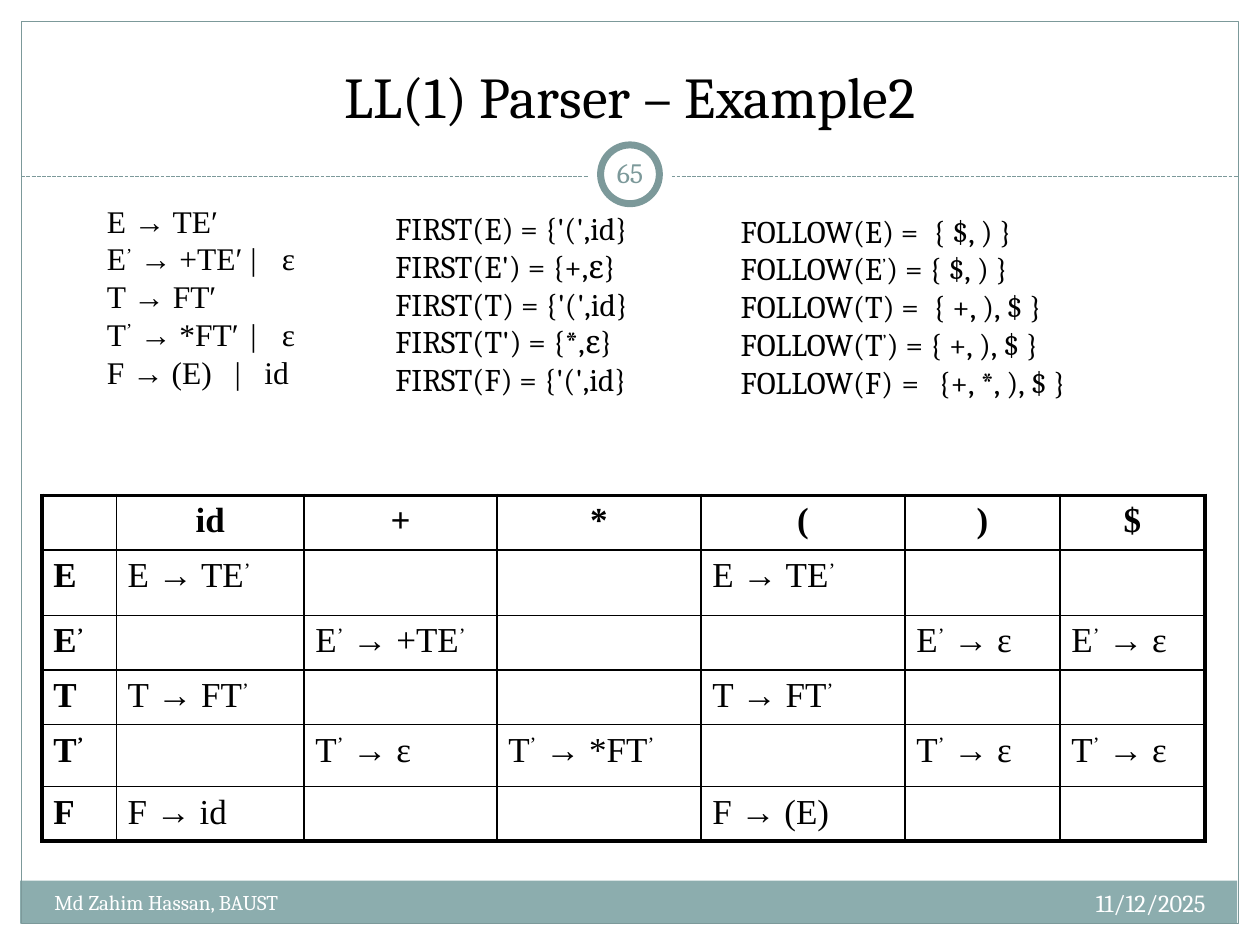
import itertools
from dataclasses import dataclass
from typing import Optional

import pptx
import pptx.dml.color
import pptx.enum.dml
import pptx.enum.shapes
import pptx.enum.text
import pptx.oxml
import pptx.oxml.ns
import pptx.util
from lxml import etree

Pt = pptx.util.Pt
Align = pptx.enum.text.PP_ALIGN
Anchor = pptx.enum.text.MSO_ANCHOR
Shape = pptx.enum.shapes.MSO_SHAPE

COLORS = {"white": "FFFFFF", "black": "000000", "band": "8CADAE", "teal": "7C999A"}
SERIF = "Times New Roman"
PRIME = "’"


@dataclass
class Panel:
    kind: Shape
    box: tuple[float, float, float, float]
    fill: Optional[str] = None
    line: Optional[str] = None
    weight: float = 0.75


@dataclass
class Line:
    text: str
    tabs: tuple[float, ...] = ()


@dataclass
class Label:
    box: tuple[float, float, float, float]
    lines: list[Line]
    size: float
    color: str = "black"
    font: str = "Cambria"
    align: Align = Align.LEFT
    anchor: Anchor = Anchor.TOP
    margin: float = 7.2


PANELS = [
    Panel(Shape.RECTANGLE, (11.5, 503.3, 695.5, 24.5), fill="band"),
    Panel(Shape.RECTANGLE, (12.2, 12.2, 695.5, 515.5), line="teal"),
]
BADGE = [
    Panel(Shape.OVAL, (336, 75.6, 48, 48), fill="white"),
    Panel(Shape.OVAL, (343.2, 82.8, 33.6, 33.6), fill="white", line="teal", weight=4),
]

LABELS = [
    Label((24, 18, 672, 60), [Line("LL(1) Parser – Example2")], 33,
          align=Align.CENTER, anchor=Anchor.BOTTOM),
    Label((456, 504, 240, 28.8), [Line("11/12/2025")], 14, "white", align=Align.RIGHT),
    Label((24, 504.7, 282, 28.8), [Line("Md Zahim Hassan, BAUST")], 12, "white"),
    Label((342, 81.4, 36, 34.6), [Line("65")], 16, "teal",
          align=Align.CENTER, anchor=Anchor.MIDDLE, margin=3.6),
    Label((54, 111.6, 129, 116.6), [
        Line("E → TE′"),
        Line("E’ → +TE′\t|\tε", (82, 100)),
        Line("T → FT′"),
        Line("T’ → *FT′\t|\tε", (82, 100)),
        Line("F → (E)\t|\tid", (73, 90)),
    ], 18, font=SERIF),
    Label((218.9, 115.9, 163.4, 138.2), [
        Line("FIRST(E) = {'(',id}"),
        Line("FIRST(E') = {+,ε}"),
        Line("FIRST(T) = {'(',id}"),
        Line("FIRST(T') = {*,ε}"),
        Line("FIRST(F) = {'(',id}"),
    ], 18),
    Label((416.2, 117.4, 232.6, 138.2), [
        Line("FOLLOW(E) =\t{ $, ) }", (110,)),
        Line("FOLLOW(E’) = { $, ) }"),
        Line("FOLLOW(T) =\t{ +, ), $ }", (110,)),
        Line("FOLLOW(T’) = { +, ), $ }"),
        Line("FOLLOW(F)\t=\t{+, *, ), $ }", (92, 113)),
    ], 18),
]

TERMINALS = ["id", "+", "*", "(", ")", "$"]
PARSE_ROWS = {
    "E": {"id": "E → TE’", "(": "E → TE’"},
    "E’": {"+": "E’ → +TE’", ")": "E’ → ε", "$": "E’ → ε"},
    "T": {"id": "T → FT’", "(": "T → FT’"},
    "T’": {"+": "T’ → ε", "*": "T’ → *FT’", ")": "T’ → ε", "$": "T’ → ε"},
    "F": {"id": "F → id", "(": "F → (E)"},
}
COLUMN_WIDTHS = [42.5, 107.3, 110.2, 116.6, 116.6, 88.6, 82.8]
ROW_HEIGHTS = [31.2, 37.4, 31.2, 31.2, 35.3, 31.2]


def rgb(name: str) -> pptx.dml.color.RGBColor:
    return pptx.dml.color.RGBColor.from_string(COLORS[name])


def write_text(paragraph, text: str, font: str, size: float, color: str, bold: bool = False) -> None:
    for raised, letters in itertools.groupby(text, lambda letter: letter == PRIME):
        run = paragraph.add_run()
        run.text = "".join(letters)
        run.font.name = font
        run.font.size = Pt(size)
        run.font.bold = bold
        run.font.color.rgb = rgb(color)
        if raised:
            run.font._element.set("baseline", "30000")


def set_tabs(paragraph, tabs: tuple[float, ...]) -> None:
    properties = paragraph._p.get_or_add_pPr()
    tab_list = etree.SubElement(properties, pptx.oxml.ns.qn("a:tabLst"))
    for position in tabs:
        etree.SubElement(tab_list, pptx.oxml.ns.qn("a:tab"), pos=str(Pt(position)), algn="l")


def draw_panel(slide, panel: Panel) -> None:
    shape = slide.shapes.add_shape(panel.kind, *map(Pt, panel.box))
    shape.shadow.inherit = False
    if panel.fill:
        shape.fill.solid()
        shape.fill.fore_color.rgb = rgb(panel.fill)
    else:
        shape.fill.background()
    if panel.line:
        shape.line.color.rgb = rgb(panel.line)
        shape.line.width = Pt(panel.weight)
    else:
        shape.line.fill.background()


def draw_divider(slide) -> None:
    connector = slide.shapes.add_connector(
        pptx.enum.shapes.MSO_CONNECTOR.STRAIGHT, Pt(12.2), Pt(100.8), Pt(707.7), Pt(100.8))
    connector.line.color.rgb = rgb("teal")
    connector.line.width = Pt(0.75)
    connector.line.dash_style = pptx.enum.dml.MSO_LINE.SQUARE_DOT
    etree.SubElement(connector._element.spPr, pptx.oxml.ns.qn("a:effectLst"))


def draw_label(slide, label: Label) -> None:
    frame = slide.shapes.add_textbox(*map(Pt, label.box)).text_frame
    frame.word_wrap = True
    frame.vertical_anchor = label.anchor
    frame.margin_left = frame.margin_right = Pt(label.margin)
    frame.margin_top = frame.margin_bottom = Pt(3.6)
    for index, line in enumerate(label.lines):
        paragraph = frame.add_paragraph() if index else frame.paragraphs[0]
        paragraph.alignment = label.align
        if line.tabs:
            set_tabs(paragraph, line.tabs)
        write_text(paragraph, line.text, label.font, label.size, label.color)


def set_borders(cell, weights: dict[str, float]) -> None:
    properties = cell._tc.get_or_add_tcPr()
    for index, (side, weight) in enumerate(weights.items()):
        border = pptx.oxml.parse_xml(
            f'<a:ln{side} {pptx.oxml.ns.nsdecls("a")} w="{Pt(weight)}"><a:solidFill>'
            f'<a:srgbClr val="{COLORS["black"]}"/></a:solidFill></a:ln{side}>')
        properties.insert(index, border)


def draw_parse_table(slide) -> None:
    grid = [["", *TERMINALS]]
    grid += [[symbol, *(row.get(terminal, "") for terminal in TERMINALS)]
             for symbol, row in PARSE_ROWS.items()]
    last_row, last_column = len(grid) - 1, len(TERMINALS)
    table = slide.shapes.add_table(
        len(grid), last_column + 1, Pt(24), Pt(283),
        Pt(sum(COLUMN_WIDTHS)), Pt(sum(ROW_HEIGHTS))).table
    table.first_row = table.horz_banding = False
    for column, width in zip(table.columns, COLUMN_WIDTHS):
        column.width = Pt(width)
    for row, height in zip(table.rows, ROW_HEIGHTS):
        row.height = Pt(height)
    for r, c in itertools.product(range(last_row + 1), range(last_column + 1)):
        cell = table.cell(r, c)
        cell.margin_left = cell.margin_right = Pt(6.5)
        cell.fill.background()
        outer = {"L": c == 0, "R": c == last_column, "T": r == 0, "B": r == last_row}
        set_borders(cell, {side: 2.25 if edge else 1 for side, edge in outer.items()})
        paragraph = cell.text_frame.paragraphs[0]
        paragraph.alignment = Align.CENTER if r == 0 else Align.LEFT
        write_text(paragraph, grid[r][c], SERIF, 20, "black", bold=r == 0 or c == 0)


def main() -> None:
    presentation = pptx.Presentation()
    presentation.slide_width, presentation.slide_height = Pt(720), Pt(540)
    slide = presentation.slides.add_slide(presentation.slide_layouts[6])
    for panel in PANELS:
        draw_panel(slide, panel)
    draw_divider(slide)
    for panel in BADGE:
        draw_panel(slide, panel)
    for label in LABELS:
        draw_label(slide, label)
    draw_parse_table(slide)
    presentation.save("out.pptx")


if __name__ == "__main__":
    main()
